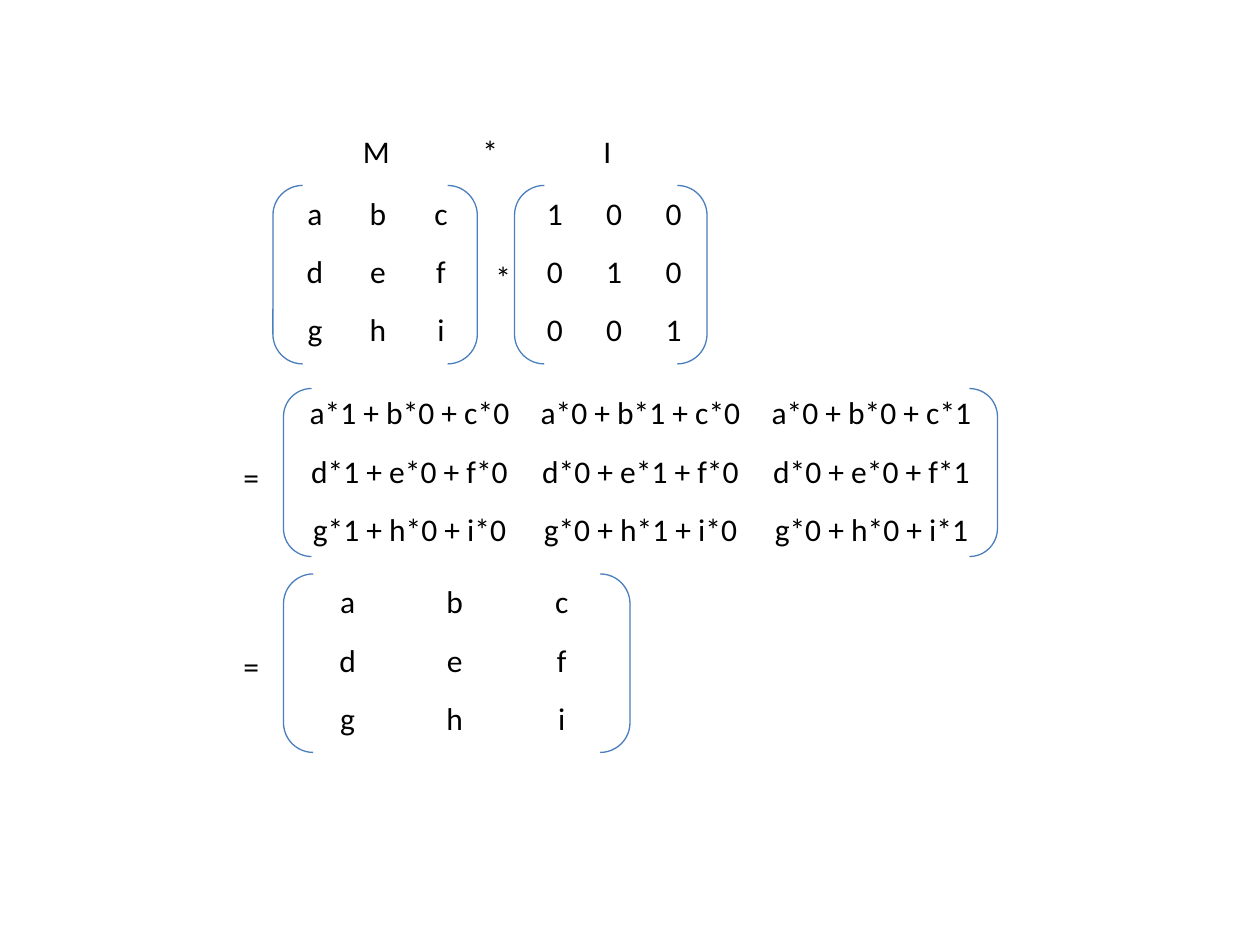
from dataclasses import dataclass

from lxml.etree import SubElement
from pptx import Presentation
from pptx.dml.color import RGBColor
from pptx.enum.shapes import MSO_SHAPE
from pptx.enum.text import PP_ALIGN
from pptx.oxml.ns import qn
from pptx.util import Pt

HUES = {"text": "000000", "line": "4B7EBC"}
FONT = "Calibri"
SIZE = 18
ROW = 33.36


@dataclass
class Box:
    left: float
    top: float
    width: float
    height: float

    def lengths(self) -> tuple:
        return tuple(Pt(n) for n in (self.left, self.top, self.width, self.height))


@dataclass
class Matrix:
    rows: list[list[str]]
    left: float
    top: float
    col: float
    frame: Box


@dataclass
class Label:
    text: str
    box: Box


def style(para, align=PP_ALIGN.CENTER) -> None:
    para.alignment = align
    for run in para.runs:
        run.font.name = FONT
        run.font.size = Pt(SIZE)
        run.font.bold = False
        run.font.color.rgb = RGBColor.from_string(HUES["text"])


def draw_matrix(slide, item: Matrix) -> None:
    count, wide = len(item.rows), len(item.rows[0])
    area = Box(item.left, item.top, item.col * wide, ROW * count)
    table = slide.shapes.add_table(count, wide, *area.lengths()).table
    table.first_row = table.horz_banding = False
    for col in table.columns:
        col.width = Pt(item.col)
    for row, words in zip(table.rows, item.rows):
        row.height = Pt(ROW)
        for cell, word in zip(row.cells, words):
            cell.fill.background()
            cell.text_frame.text = word
            style(cell.text_frame.paragraphs[0])

    # Round brackets around the table
    pair = slide.shapes.add_shape(MSO_SHAPE.DOUBLE_BRACKET, *item.frame.lengths())
    pair.shadow.inherit = False
    pair.fill.background()
    pair.line.color.rgb = RGBColor.from_string(HUES["line"])
    pair.line.width = Pt(0.75)


def draw_label(slide, item: Label, stops: tuple[float, ...] = ()) -> None:
    frame = slide.shapes.add_textbox(*item.box.lengths()).text_frame
    frame.word_wrap = True
    frame.text = item.text
    para = frame.paragraphs[0]
    if stops:
        tabs = SubElement(para._p.get_or_add_pPr(), qn("a:tabLst"))
        for stop in stops:
            SubElement(tabs, qn("a:tab"), pos=str(Pt(stop)), algn="ctr")
    style(para, PP_ALIGN.LEFT if stops else PP_ALIGN.CENTER)


# Matrix contents
names = [list("abc"), list("def"), list("ghi")]
unit = [["1" if i == j else "0" for j in range(3)] for i in range(3)]
sums = [
    [" + ".join(f"{name}*{unit[k][j]}" for k, name in enumerate(row)) for j in range(3)]
    for row in names
]

matrices = [
    Matrix(names, 162, 108, 36, Box(156, 106, 116.8, 102)),
    Matrix(unit, 300, 108, 34, Box(294, 106, 110, 102)),
    Matrix(sums, 168, 222, 132, Box(162, 222, 408, 96)),
    Matrix(names, 168, 330, 61.2, Box(162, 328, 198, 102)),
]
signs = [
    Label("*", Box(276, 144, 18, 29)),
    Label("=", Box(132, 258, 18, 29)),
    Label("=", Box(132, 366, 18, 29)),
]
title = Label("\tM\t*\tI", Box(174, 72, 210, 30))

deck = Presentation()
deck.slide_width, deck.slide_height = Pt(720), Pt(540)
slide = deck.slides.add_slide(deck.slide_layouts[6])

# Equation from top to bottom
draw_label(slide, title, (34, 99, 166))
for item in matrices:
    draw_matrix(slide, item)
for item in signs:
    draw_label(slide, item)

deck.save("out.pptx")
